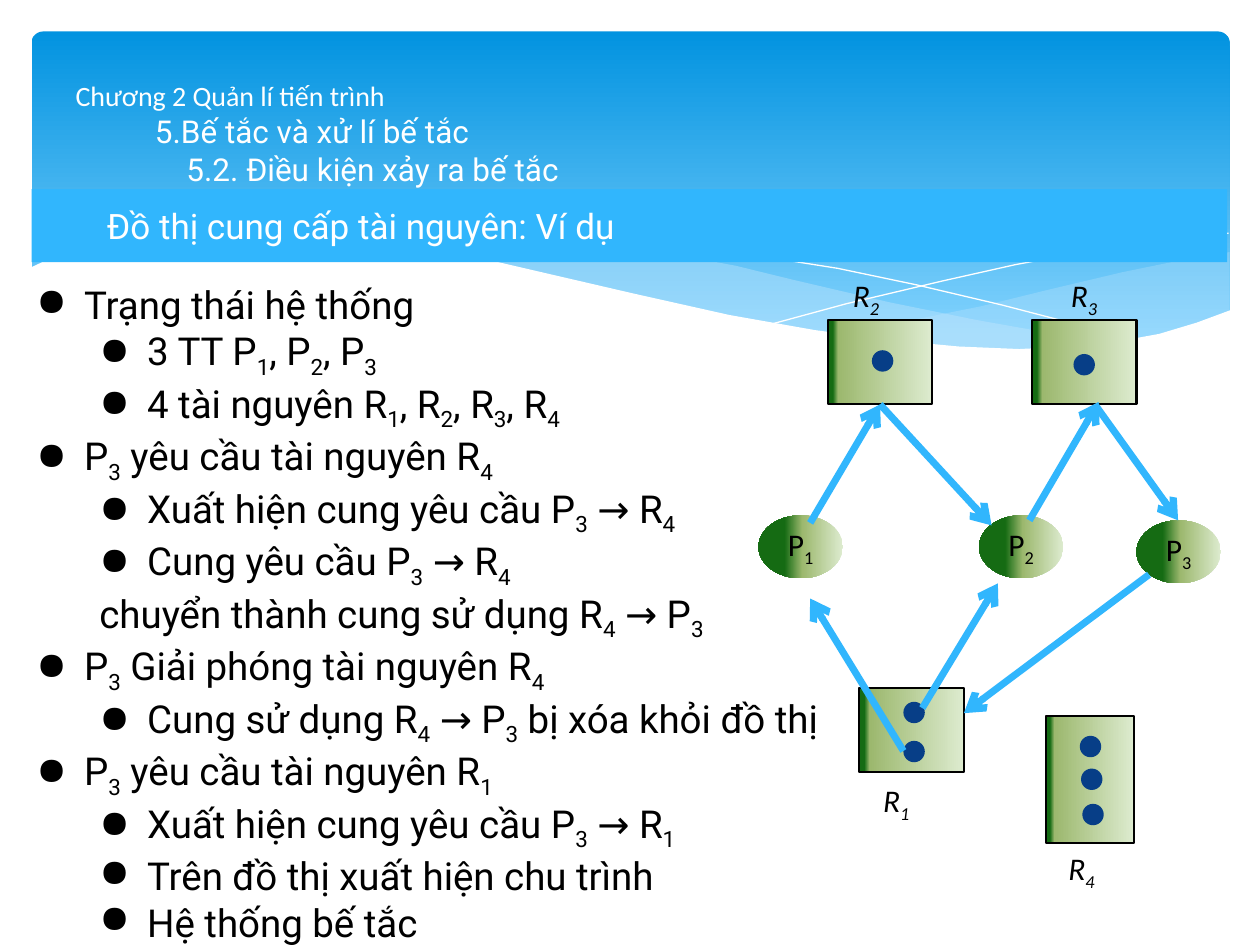
"""Build the slide on resource allocation graphs and deadlock."""
from lxml import etree
from pptx import Presentation
from pptx.dml.color import RGBColor
from pptx.enum.shapes import MSO_CONNECTOR, MSO_SHAPE
from pptx.enum.text import MSO_ANCHOR, MSO_AUTO_SIZE, PP_ALIGN
from pptx.oxml.ns import qn
from pptx.util import Inches, Pt

RECTANGLE = MSO_SHAPE.RECTANGLE
ROUNDED = MSO_SHAPE.ROUNDED_RECTANGLE
OVAL = MSO_SHAPE.OVAL
STRAIGHT = MSO_CONNECTOR.STRAIGHT
MIDDLE = MSO_ANCHOR.MIDDLE
LEFT, CENTER = PP_ALIGN.LEFT, PP_ALIGN.CENTER
BOTTOM_SIDE = 2

COLORS = {"white": "FFFFFF", "black": "000000", "sky": "31B6FD", "mist": "C6E7FC",
          "navy": "073E87", "deep": "0293E0", "pale": "83D3FE",
          "light": "DDEBCF", "olive": "9CB86E", "green": "156B13"}
PANEL_STOPS = [(0, "deep"), (90, "pale")]
PROCESS_STOPS = [(0, "light"), (48, "olive"), (69, "green")]
RESOURCE_STOPS = [(0, "light"), (90, "olive"), (95, "green")]

RIGHT_WAVE = [(9.76, 2), (9.35, 2.07), (8.91, 2.16), (8.32, 2.3), (7.79, 2.43), (7.29, 2.53),
              (6.61, 2.65), (7.05, 2.71), (7.45, 2.75), (7.81, 2.77), (8.14, 2.78),
              (8.54, 2.76), (8.89, 2.72), (9.21, 2.65), (9.49, 2.57), (9.76, 2.47)]
LONG_WAVE = [(8.93, 2.73), (8.37, 2.65), (7.75, 2.54), (7.06, 2.4), (6.29, 2.22), (5.84, 2.11),
             (5.41, 2.03), (5.01, 1.96), (4.41, 1.89), (3.8, 1.86), (3.28, 1.87), (2.86, 1.91),
             (3.42, 1.99), (4.04, 2.11), (4.91, 2.32), (5.66, 2.48), (6.34, 2.61), (6.95, 2.7),
             (7.48, 2.76), (7.96, 2.79), (8.48, 2.78)]
FALLING_LINE = [(3.09, 1.95), (3.43, 1.9), (4.01, 1.87), (4.69, 1.89), (5.32, 1.94), (6.08, 2.04),
                (6.65, 2.13), (7.27, 2.26), (7.95, 2.42), (8.68, 2.61), (9.07, 2.72)]
RISING_LINE = [(6.13, 2.57), (6.72, 2.41), (7.48, 2.23), (8.06, 2.1), (8.66, 1.99),
               (9.24, 1.9), (9.75, 1.85)]
WHITE_WAVE = [(9.77, 2.46), (9.5, 2.56), (9.2, 2.65), (8.87, 2.71), (8.5, 2.75), (8.09, 2.77),
              (7.61, 2.75), (7.08, 2.7), (6.47, 2.62), (5.79, 2.5), (5.03, 2.33), (4.47, 2.2),
              (3.91, 2.07), (3.39, 1.97), (2.92, 1.91), (2.5, 1.86), (2.11, 1.84), (1.77, 1.84),
              (1.32, 1.86), (0.95, 1.91), (0.67, 1.97), (0.4, 2.05), (0.23, 2.13),
              (0.23, 3.29), (9.77, 3.29)]

TITLE_LINES = [("Chương 2 Quản lí tiến trình", 16, "Calibri", 0),
               ("5.Bế tắc và xử lí bế tắc", 18, "Roboto", 0.63),
               ("5.2. Điều kiện xảy ra bế tắc", 18, "Roboto", 0.88)]
TOP, SUB, PLAIN = (0.38, -0.38, 0), (0.88, -0.38, 1), (0.5, 0, 1)
BODY = [(TOP, "Trạng thái hệ thống"),
        (SUB, "3 TT P_1, P_2, P_3"),
        (SUB, "4 tài nguyên R_1, R_2, R_3, R_4"),
        (TOP, "P_3 yêu cầu tài nguyên R_4"),
        (SUB, "Xuất hiện cung yêu cầu P_3 → R_4"),
        (SUB, "Cung yêu cầu P_3 → R_4"),
        (PLAIN, "chuyển thành cung sử dụng R_4 → P_3"),
        (TOP, "P_3 Giải phóng tài nguyên R_4"),
        (SUB, "Cung sử dụng R_4 → P_3 bị xóa khỏi đồ thị"),
        (TOP, "P_3 yêu cầu tài nguyên R_1"),
        (SUB, "Xuất hiện cung yêu cầu P_3 → R_1"),
        (SUB, "Trên đồ thị xuất hiện chu trình"),
        (SUB, "Hệ thống bế tắc")]

PROCESSES = [("P_1", 6.02, 4.09), ("P_2", 7.77, 4.09), ("P_3", 9.02, 4.13)]
RESOURCES = [("R_2", (6.57, 2.54, 0.83, 0.67), (6.67, 2.14), [(6.92, 2.78)]),
             ("R_3", (8.19, 2.54, 0.83, 0.67), (8.4, 2.14), [(8.52, 2.81)]),
             ("R_1", (6.82, 5.46, 0.83, 0.67), (6.91, 6.15), [(7.17, 5.57), (7.17, 5.88)]),
             ("R_4", (8.3, 5.68, 0.7, 1.01), (8.38, 6.69),
              [(8.57, 5.84), (8.58, 6.1), (8.59, 6.38)])]
ARROWS = [((8.17, 4.13), (8.72, 3.19)), ((8.69, 3.21), (9.35, 4.13)),
          ((7.17, 5.96), (6.43, 4.75)), ((7.32, 5.62), (7.92, 4.63)),
          ((9.12, 4.56), (7.65, 5.66))]


def color(name):
    """Return the named palette colour."""
    return RGBColor.from_string(COLORS[name])


def add_run(paragraph, text, size, font, color_name, italic=False):
    """Add one formatted run to a paragraph."""
    run = paragraph.add_run()
    run.text = text
    run.font.size = Pt(size)
    run.font.name = font
    run.font.italic = italic
    run.font.color.rgb = color(color_name)
    return run


def add_indexed_text(paragraph, text, size, font, italic=False):
    """Add text in which an underscore marks a one-digit subscript."""
    first, *others = text.split("_")
    add_run(paragraph, first, size, font, "black", italic)
    for part in others:
        index = add_run(paragraph, part[0], size, font, "black", italic)
        index.font._element.set("baseline", "-25000")
        if part[1:]:
            add_run(paragraph, part[1:], size, font, "black", italic)


def set_indent(paragraph, left, hanging=0, bullet=None):
    """Set the left margin, first-line indent and bullet of a paragraph."""
    properties = paragraph._p.get_or_add_pPr()
    properties.set("marL", str(Inches(left)))
    properties.set("indent", str(Inches(hanging)))
    if bullet:
        etree.SubElement(properties, qn("a:buChar")).set("char", bullet)
    else:
        etree.SubElement(properties, qn("a:buNone"))


def set_gradient(shape, stops, angle):
    """Fill a shape with a linear gradient."""
    shape.fill.gradient()
    gradient = shape._element.spPr.find(qn("a:gradFill"))
    for child in list(gradient):
        gradient.remove(child)
    stop_list = etree.SubElement(gradient, qn("a:gsLst"))
    for position, name in stops:
        stop = etree.SubElement(stop_list, qn("a:gs"), pos=str(position * 1000))
        etree.SubElement(stop, qn("a:srgbClr"), val=COLORS[name])
    etree.SubElement(gradient, qn("a:lin"), ang=str(angle * 60000), scaled="0")


def add_box(slide, kind, box, fill=None, stops=None, angle=180, outline=None):
    """Add a preset shape with a solid or gradient fill."""
    shape = slide.shapes.add_shape(kind, *map(Inches, box))
    shape.shadow.inherit = False
    if stops:
        set_gradient(shape, stops, angle)
    else:
        shape.fill.solid()
        shape.fill.fore_color.rgb = color(fill)
    if outline:
        shape.line.color.rgb = color(outline)
        shape.line.width = Pt(1.25)
    else:
        shape.line.fill.background()
    return shape


def add_wave(slide, points, fill=None, opacity=100):
    """Add a filled wave, or a white hairline when no fill is given."""
    start, *others = [(Inches(x), Inches(y)) for x, y in points]
    builder = slide.shapes.build_freeform(*start)
    builder.add_line_segments(others, close=fill is not None)
    shape = builder.convert_to_shape()
    shape.shadow.inherit = False
    if fill:
        shape.fill.solid()
        shape.fill.fore_color.rgb = color(fill)
        shape.line.fill.background()
        value = shape._element.spPr.find(qn("a:solidFill"))[0]
        etree.SubElement(value, qn("a:alpha"), val=str(opacity * 1000))
    else:
        shape.fill.background()
        shape.line.color.rgb = color("white")
        shape.line.width = Pt(0)


def add_backdrop(slide):
    """Add the blue panel and its waves."""
    panel = add_box(slide, ROUNDED, (0.25, 0.25, 9.51, 2.7), stops=PANEL_STOPS, angle=90)
    panel.adjustments[0] = 0.034
    add_wave(slide, RIGHT_WAVE, "mist", 29)
    add_wave(slide, LONG_WAVE, "mist", 40)
    add_wave(slide, FALLING_LINE)
    add_wave(slide, RISING_LINE)
    add_wave(slide, WHITE_WAVE, "white")


def add_title(slide):
    """Place the title in front of the backdrop and write its lines."""
    title = slide.shapes.title
    slide.shapes._spTree.append(title._element)
    title.left, title.top, title.width, title.height = map(Inches, (0.5, 0.37, 9, 1.37))
    frame = title.text_frame
    frame.auto_size = MSO_AUTO_SIZE.NONE
    frame.vertical_anchor = MIDDLE
    for number, (text, size, font, left) in enumerate(TITLE_LINES):
        paragraph = frame.add_paragraph() if number else frame.paragraphs[0]
        paragraph.alignment = LEFT
        set_indent(paragraph, left)
        add_run(paragraph, text, size, font, "white")


def add_body(slide):
    """Add the bulleted explanation."""
    frame = slide.shapes.add_textbox(*map(Inches, (0.19, 2.18, 6.56, 4.91))).text_frame
    frame.word_wrap = True
    for number, ((left, hanging, level), text) in enumerate(BODY):
        paragraph = frame.add_paragraph() if number else frame.paragraphs[0]
        paragraph.level = level
        set_indent(paragraph, left, hanging, "●" if hanging else None)
        add_indexed_text(paragraph, text, 22, "Roboto")


def add_subtitle_bar(slide):
    """Add the bar that names the topic."""
    bar = add_box(slide, RECTANGLE, (0.25, 1.5, 9.49, 0.58), "sky")
    bar.text_frame.vertical_anchor = MIDDLE
    paragraph = bar.text_frame.paragraphs[0]
    paragraph.alignment = LEFT
    set_indent(paragraph, 0.5)
    add_run(paragraph, "Đồ thị cung cấp tài nguyên: Ví dụ", 20, "Roboto", "white")


def add_process(slide, name, left, top):
    """Add a process node."""
    node = add_box(slide, OVAL, (left, top, 0.67, 0.5), stops=PROCESS_STOPS)
    node.text_frame.word_wrap = False
    node.text_frame.vertical_anchor = MIDDLE
    paragraph = node.text_frame.paragraphs[0]
    paragraph.alignment = CENTER
    add_indexed_text(paragraph, name, 18, "Calibri")


def add_resource(slide, name, box, label_position, dots):
    """Add a resource box with its instances and label."""
    node = add_box(slide, RECTANGLE, box, stops=RESOURCE_STOPS, outline="black")
    for left, top in dots:
        add_box(slide, OVAL, (left, top, 0.17, 0.17), "navy")
    label = slide.shapes.add_textbox(*map(Inches, (*label_position, 0.42, 0.4)))
    add_indexed_text(label.text_frame.paragraphs[0], name, 18, "Calibri", italic=True)
    return node


def add_arrow(slide, start, end):
    """Add an arrow from start to end."""
    arrow = slide.shapes.add_connector(STRAIGHT, *map(Inches, (*start, *end)))
    arrow.line.color.rgb = color("sky")
    arrow.line.width = Pt(4)
    etree.SubElement(arrow.line._get_or_add_ln(), qn("a:tailEnd"), type="arrow")
    etree.SubElement(arrow._element.spPr, qn("a:effectLst"))
    return arrow


def main():
    """Build and save the presentation."""
    presentation = Presentation()
    presentation.slide_width, presentation.slide_height = Inches(10), Inches(7.5)
    slide = presentation.slides.add_slide(presentation.slide_layouts[5])
    add_backdrop(slide)
    add_title(slide)
    add_body(slide)
    add_subtitle_bar(slide)
    for process in PROCESSES:
        add_process(slide, *process)
    nodes = {resource[0]: add_resource(slide, *resource) for resource in RESOURCES}
    add_arrow(slide, (6.43, 4.15), (6.98, 3.21)).end_connect(nodes["R_2"], BOTTOM_SIDE)
    add_arrow(slide, (6.98, 3.21), (7.87, 4.17)).begin_connect(nodes["R_2"], BOTTOM_SIDE)
    for start, end in ARROWS:
        add_arrow(slide, start, end)
    presentation.save("out.pptx")


if __name__ == "__main__":
    main()
